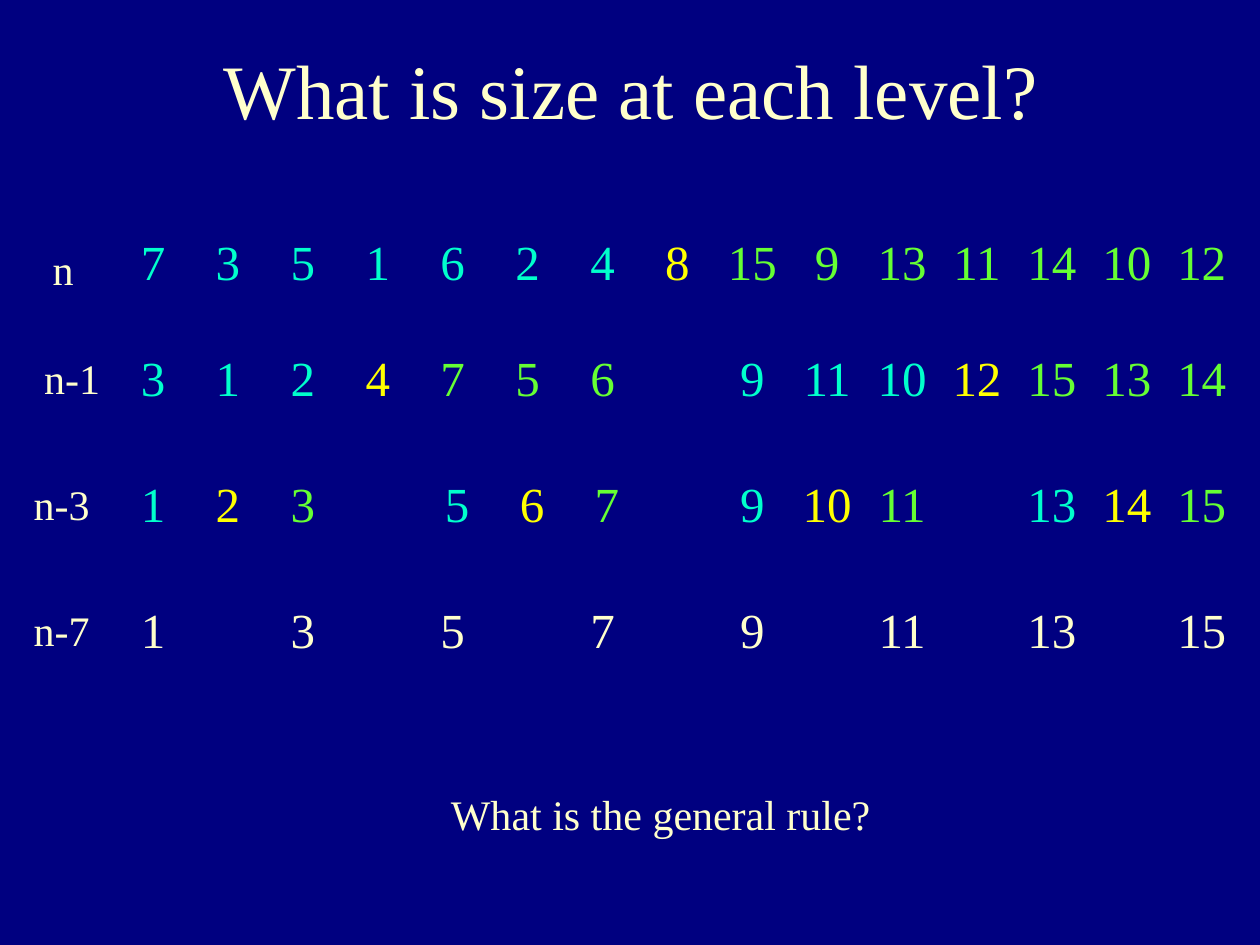
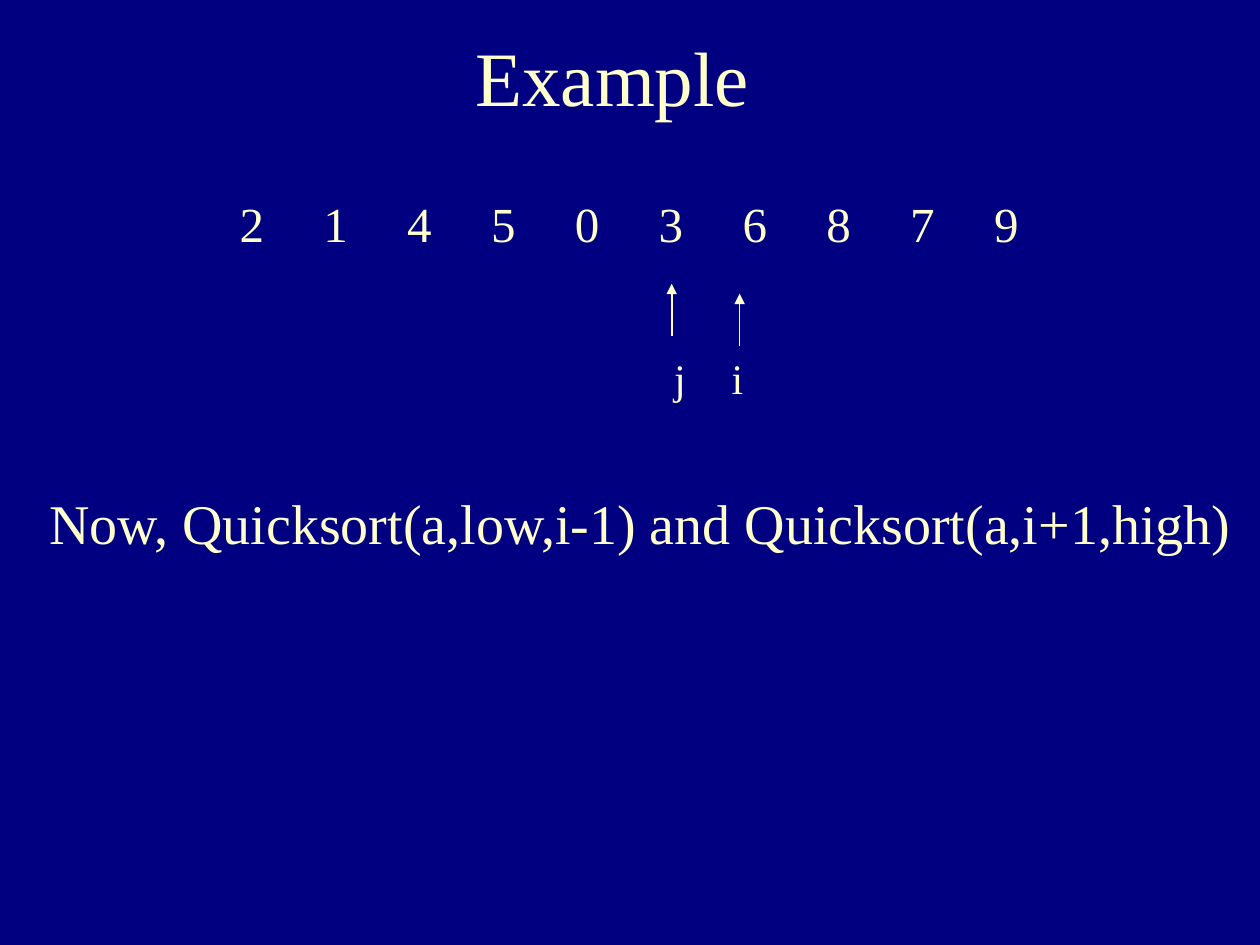
from lxml import etree
from pptx import Presentation
from pptx import util as u
from pptx.dml.color import RGBColor
from pptx.enum import shapes, text
from pptx.oxml import ns

NAVY = RGBColor(0x00, 0x00, 0x80)
CREAM = RGBColor(0xFF, 0xFF, 0xCC)
CYAN = RGBColor(0x00, 0xFF, 0xCC)
YELLOW = RGBColor(0xFF, 0xFF, 0x00)
GREEN = RGBColor(0x66, 0xFF, 0x33)
FONT = "Times New Roman"

LEFT, PITCH, HEIGHT = 2.33, 1.51, 1.47
LEVELS = [
    (4.65, [[7, 3, 5, 1, 6, 2, 4, 8, 15, 9, 13, 11, 14, 10, 12]]),
    (6.99, [[3, 1, 2, 4, 7, 5, 6], [9, 11, 10, 12, 15, 13, 14]]),
    (9.53, [[1, 2, 3], [5, 6, 7], [9, 10, 11], [13, 14, 15]]),
    (12.07, [[n] for n in range(1, 16, 2)]),
]
NUDGE = {(9.53, 1): 0.09}
LABELS = [
    ("n", 0.81, 4.78, 0.91),
    ("n-1", 0.64, 6.99, 1.63),
    ("n-3", 0.43, 9.53, 1.63),
    ("n-7", 0.43, 12.07, 1.63),
]
MARKS = [("i", 14.5, 14.91, 5.92), ("j", 13.34, 13.54, 5.72)]


def style(frame, size, color=CREAM, align=text.PP_ALIGN.LEFT):
    """Format all text of a frame."""
    for para in frame.paragraphs:
        para.alignment = align
        for run in para.runs:
            run.font.name = FONT
            run.font.size = u.Pt(size)
            run.font.color.rgb = color


def add_slide(deck, title, left, top):
    """Add a navy slide with a centred title."""
    slide = deck.slides.add_slide(deck.slide_layouts[6])
    slide.background.fill.solid()
    slide.background.fill.fore_color.rgb = NAVY
    box = slide.shapes.add_textbox(u.Cm(left), u.Cm(top), u.Cm(24.69), u.Cm(2.11))
    frame = box.text_frame
    frame.word_wrap = True
    frame.vertical_anchor = text.MSO_ANCHOR.MIDDLE
    frame.text = title
    style(frame, 44, align=text.PP_ALIGN.CENTER)
    return slide


def add_label(parent, words, left, top, width, height=1.27, size=24):
    """Add a single line of text to a slide or group."""
    box = parent.shapes.add_textbox(u.Cm(left), u.Cm(top), u.Cm(width), u.Cm(height))
    box.text_frame.word_wrap = False
    box.text_frame.text = words
    style(box.text_frame, size)


def clear_cell(cell):
    """Remove the borders and fill of a cell."""
    props = cell._tc.get_or_add_tcPr()
    for side in ("a:lnL", "a:lnR", "a:lnT", "a:lnB"):
        line = etree.SubElement(props, ns.qn(side), w="0")
        etree.SubElement(line, ns.qn("a:noFill"))
    cell.fill.background()


def add_row(slide, nums, colors, left, top, pitch, height):
    """Add a one-row table of coloured numbers."""
    frame = slide.shapes.add_table(
        1, len(nums), u.Cm(left), u.Cm(top), u.Cm(pitch * len(nums)), u.Cm(height))
    table = frame.table
    table.first_row = table.horz_banding = False
    for col, num, color in zip(table.columns, nums, colors):
        col.width = u.Cm(pitch)
    for cell, num, color in zip(table.rows[0].cells, nums, colors):
        clear_cell(cell)
        cell.margin_left = cell.margin_right = u.Cm(0.2)
        cell.text_frame.text = str(num)
        style(cell.text_frame, 28, color, text.PP_ALIGN.CENTER)


def split_colors(count):
    """Colour the middle pivot and the parts on its two sides."""
    if count == 1:
        return [CREAM]
    half = count // 2
    return [CYAN] * half + [YELLOW] + [GREEN] * half


def add_mark(slide, name, left, mid, tip):
    """Add a grouped index name with an upward arrow."""
    group = slide.shapes.add_group_shape()
    add_label(group, name, left, 6.99, 0.74)
    line = group.shapes.add_connector(
        shapes.MSO_CONNECTOR.STRAIGHT, u.Cm(mid), u.Cm(tip + 1.06), u.Cm(mid), u.Cm(tip))
    line.line.color.rgb = CREAM
    line.line.width = u.Pt(1)
    etree.SubElement(line.line._get_or_add_ln(), ns.qn("a:tailEnd"), type="triangle")
    etree.SubElement(line._element.spPr, ns.qn("a:effectLst"))


def build_levels(deck):
    """Build the slide on the size at each level."""
    slide = add_slide(deck, "What is size at each level?", 0.38, 0.74)
    for top, groups in LEVELS:
        for index, nums in enumerate(groups):
            left = LEFT + index * (len(nums) + 1) * PITCH + NUDGE.get((top, index), 0)
            add_row(slide, nums, split_colors(len(nums)), left, top, PITCH, HEIGHT)
    for label in LABELS:
        add_label(slide, *label)
    add_label(slide, "What is the general rule?", 8.84, 15.77, 8.97)


def build_example(deck):
    """Build the slide with the partition example."""
    slide = add_slide(deck, "Example", 0, 0.46)
    nums = [2, 1, 4, 5, 0, 3, 6, 8, 7, 9]
    add_row(slide, nums, [CREAM] * len(nums), 4.23, 3.89, 1.69, 1.63)
    for mark in MARKS:
        add_mark(slide, *mark)
    add_label(slide, "Now, Quicksort(a,low,i-1) and Quicksort(a,i+1,high)",
              0.74, 9.73, 24.49, 1.63, 32)


def main():
    """Build and save the deck."""
    deck = Presentation()
    deck.slide_width, deck.slide_height = u.Cm(25.4), u.Cm(19.05)
    build_levels(deck)
    build_example(deck)
    deck.save("out.pptx")


if __name__ == "__main__":
    main()
